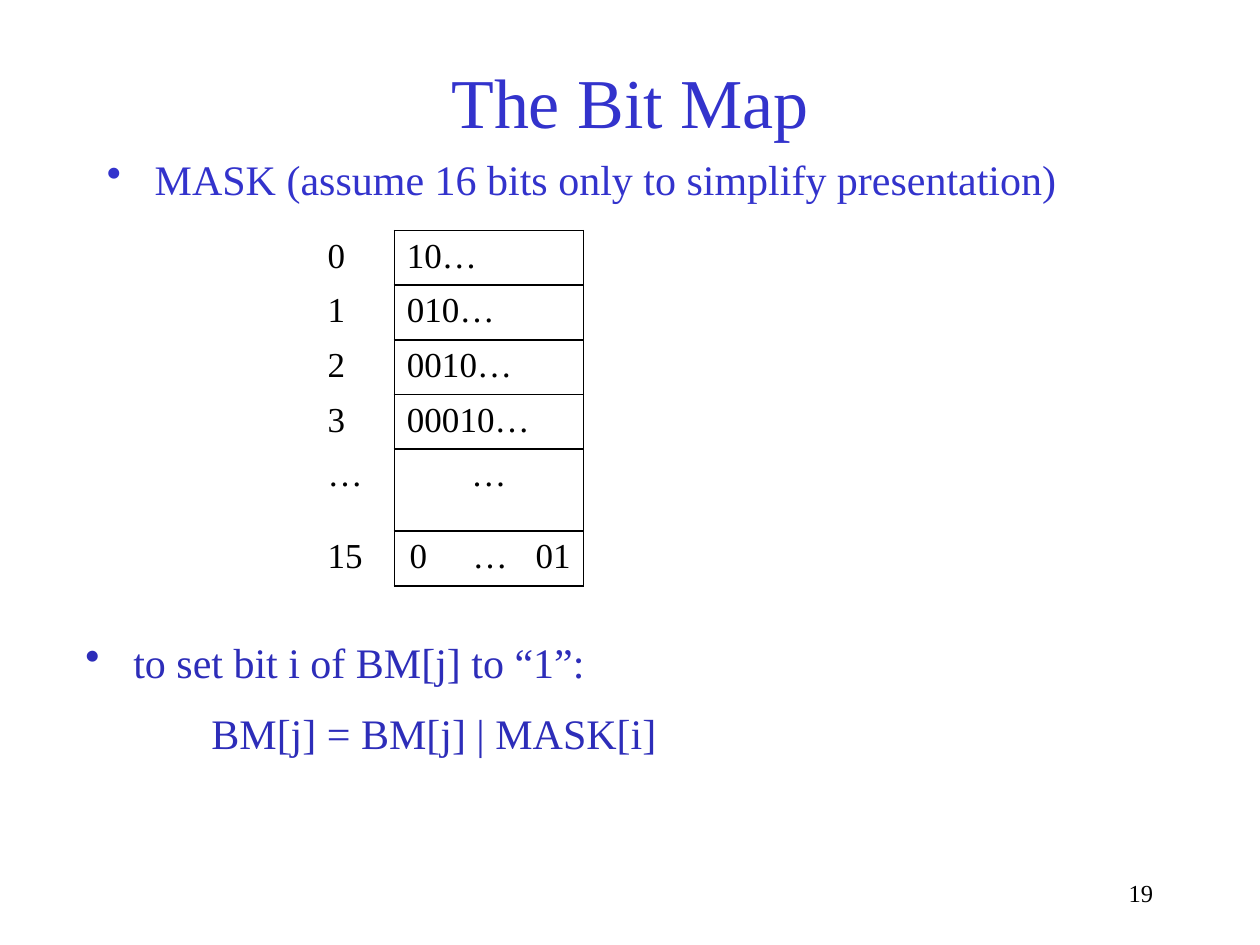
from dataclasses import dataclass

from lxml import etree
from pptx import Presentation
from pptx.dml.color import RGBColor
from pptx.enum import text
from pptx.oxml import ns
from pptx.util import Inches, Pt

ALIGN = text.PP_ALIGN


@dataclass(frozen=True)
class Theme:
    font: str = "Times New Roman"
    heading: str = "3333CC"
    accent: str = "2D2DB9"
    ink: str = "000000"
    title_size: int = 40
    body_size: int = 24
    cell_size: int = 20
    number_size: int = 14
    rule: int = 1


def write(para, words, *, font, size, color, align=ALIGN.LEFT, left=0, hang=0,
          bullet=None, before=0, line=1.0, tabs=()):
    para.alignment = align
    para.space_before = Pt(before)
    para.line_spacing = line
    span = para.add_run()
    span.text = words
    span.font.name = font
    span.font.size = Pt(size)
    span.font.color.rgb = RGBColor.from_string(color)
    props = para._p.get_or_add_pPr()
    props.set("marL", str(Inches(left)))
    props.set("indent", str(-Inches(hang)))
    if bullet:
        etree.SubElement(props, ns.qn("a:buChar"), char=bullet)
    else:
        etree.SubElement(props, ns.qn("a:buNone"))
    if tabs:
        stops = etree.SubElement(props, ns.qn("a:tabLst"))
        for stop in tabs:
            etree.SubElement(stops, ns.qn("a:tab"), pos=str(Inches(stop)), algn="l")


class SlideBuilder:
    def __init__(self, deck, theme):
        self.theme = theme
        self.page = deck.slides.add_slide(deck.slide_layouts[5])

    def title(self, words, left, top, width, height):
        box = self.page.shapes.title
        box.left, box.top = Inches(left), Inches(top)
        box.width, box.height = Inches(width), Inches(height)
        box.text_frame.vertical_anchor = text.MSO_ANCHOR.MIDDLE
        write(box.text_frame.paragraphs[0], words, font=self.theme.font,
              size=self.theme.title_size, color=self.theme.heading, align=ALIGN.CENTER)

    def text_box(self, lines, left, top, width, height, **style):
        box = self.page.shapes.add_textbox(
            Inches(left), Inches(top), Inches(width), Inches(height))
        frame = box.text_frame
        frame.word_wrap = True
        for index, (words, own) in enumerate(lines):
            para = frame.add_paragraph() if index else frame.paragraphs[0]
            write(para, words, font=self.theme.font, **{**style, **own})

    def borders(self, cell, drawn):
        props = cell._tc.get_or_add_tcPr()
        for index, side in enumerate("LRTB"):
            edge = etree.Element(ns.qn(f"a:ln{side}"), w=str(Pt(self.theme.rule)))
            if side in drawn:
                fill = etree.SubElement(edge, ns.qn("a:solidFill"))
                etree.SubElement(fill, ns.qn("a:srgbClr"), val=self.theme.ink)
            else:
                etree.SubElement(edge, ns.qn("a:noFill"))
            props.insert(index, edge)

    def mask_table(self, rows, left, top, widths, heights):
        table = self.page.shapes.add_table(
            len(rows), len(widths), Inches(left), Inches(top),
            Inches(sum(widths)), Inches(sum(heights))).table
        table.first_row = table.horz_banding = False
        for column, width in zip(table.columns, widths):
            column.width = Inches(width)
        for r, (label, bits, style) in enumerate(rows):
            table.rows[r].height = Inches(heights[r])
            for c, (words, own, drawn) in enumerate(
                    [(label, {}, "R"), (bits, style, "LRTB")]):
                cell = table.cell(r, c)
                cell.fill.background()
                self.borders(cell, drawn)
                write(cell.text_frame.paragraphs[0], words, font=self.theme.font,
                      size=self.theme.cell_size, color=self.theme.ink, **own)


def main():
    theme = Theme()
    deck = Presentation()
    deck.slide_width, deck.slide_height = Inches(10), Inches(7.5)
    page = SlideBuilder(deck, theme)
    bullet = dict(left=0.38, hang=0.38, bullet="•")

    page.title("The Bit Map", 0.75, 0.42, 8.5, 0.75)
    page.text_box([("MASK (assume 16 bits only to simplify presentation)", bullet)],
                  0.75, 1.25, 8.27, 0.44,
                  size=theme.body_size, color=theme.heading, line=0.8)

    rows = [(str(bit), "0" * bit + "10…", {}) for bit in range(4)]
    rows.append(("…", "…", dict(align=ALIGN.CENTER)))
    rows.append(("15", "0\t…\t01", dict(left=0.02, tabs=(0.45, 0.99))))
    page.mask_table(rows, 2.5, 1.83, (0.63, 1.5), [0.43] * 4 + [0.65, 0.43])

    page.text_box([("to set bit i of BM[j] to “1”:", bullet),
                   ("BM[j] = BM[j] | MASK[i]", dict(left=1.38, hang=0.38, before=12))],
                  0.58, 5, 8.27, 1.73, size=theme.body_size, color=theme.accent)
    page.text_box([("19", {})], 7.17, 6.92, 2.08, 0.42,
                  size=theme.number_size, color=theme.ink, align=ALIGN.RIGHT)
    deck.save("out.pptx")


if __name__ == "__main__":
    main()
